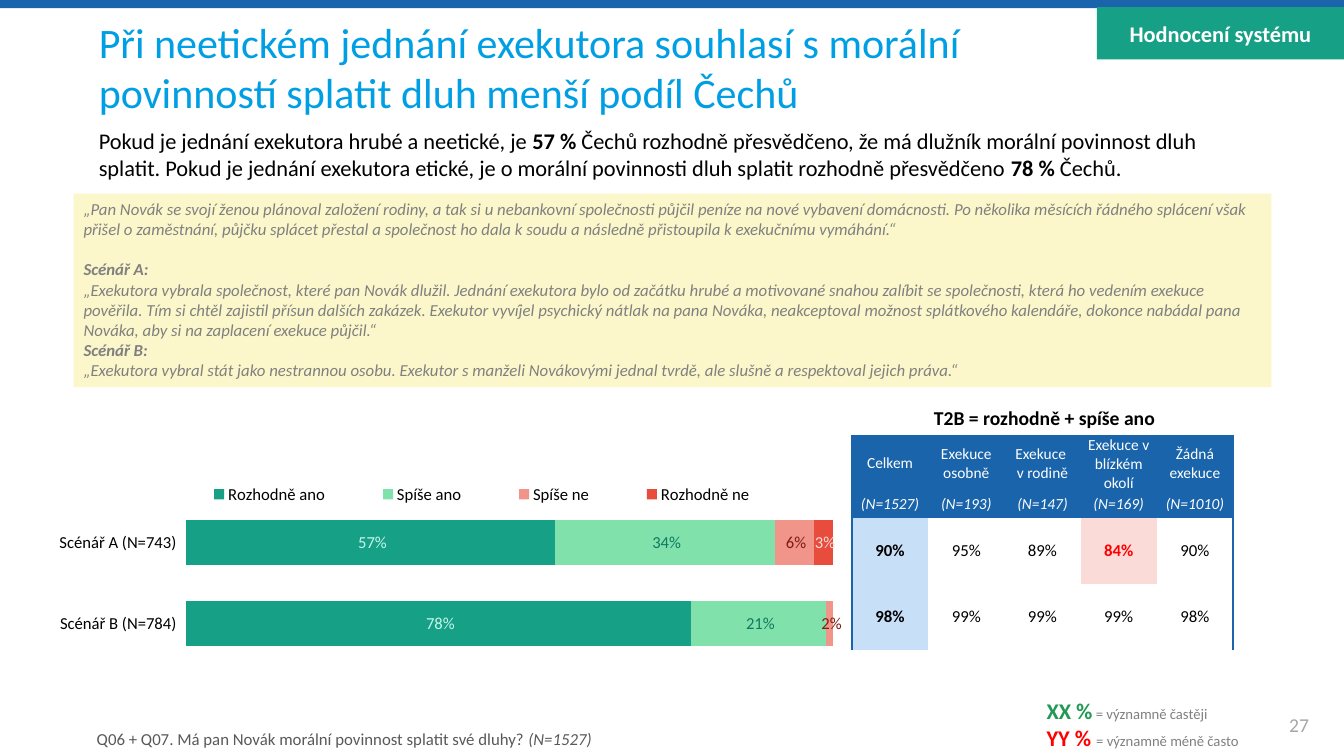
from lxml.etree import SubElement
from pptx import Presentation
from pptx.chart.data import CategoryChartData
from pptx.dml.color import RGBColor
from pptx.enum.chart import XL_CHART_TYPE, XL_LABEL_POSITION, XL_LEGEND_POSITION
from pptx.enum.shapes import MSO_SHAPE
from pptx.enum.text import MSO_ANCHOR, PP_ALIGN
from pptx.oxml import parse_xml
from pptx.oxml.ns import nsdecls, qn
from pptx.util import Inches, Pt

FONT = "Calibri"
BLUE = RGBColor(0x19, 0x64, 0xAA)
TITLE_BLUE = RGBColor(0x00, 0x9F, 0xE3)
PALE_BLUE = RGBColor(0xC8, 0xE0, 0xF7)
TEAL = RGBColor(0x16, 0xA0, 0x85)
DARK_TEAL = RGBColor(0x10, 0x78, 0x64)
PALE_TEAL = RGBColor(0xC5, 0xF7, 0xED)
MINT = RGBColor(0x80, 0xE2, 0xAA)
GREEN = RGBColor(0x22, 0x99, 0x55)
SALMON = RGBColor(0xF1, 0x94, 0x8A)
CORAL = RGBColor(0xE7, 0x4C, 0x3C)
MAROON = RGBColor(0x82, 0x1B, 0x10)
PINK = RGBColor(0xFA, 0xDB, 0xD8)
RED = RGBColor(0xFF, 0x00, 0x00)
CREAM = RGBColor(0xFB, 0xF7, 0xCA)
BLACK = RGBColor(0x00, 0x00, 0x00)
DARK_GREY = RGBColor(0x59, 0x59, 0x59)
GREY = RGBColor(0x80, 0x80, 0x80)
LIGHT_GREY = RGBColor(0xA6, 0xA6, 0xA6)
WHITE = RGBColor(0xFF, 0xFF, 0xFF)

PADDING = (0.1, 0.05, 0.1, 0.05)
SCENARIOS = ["Scénář A (N=743)", "Scénář B (N=784)"]
ANSWERS = [
    ("Rozhodně ano", (0.57, 0.78), TEAL, PALE_TEAL),
    ("Spíše ano", (0.34, 0.21), MINT, DARK_TEAL),
    ("Spíše ne", (0.06, 0.02), SALMON, MAROON),
    ("Rozhodně ne", (0.03, 0), CORAL, PINK),
]
GROUPS = [
    ("Celkem", "(N=1527)", "90%", "98%"),
    ("Exekuce osobně", "(N=193)", "95%", "99%"),
    ("Exekuce \vv rodině", "(N=147)", "89%", "99%"),
    ("Exekuce v blízkém okolí", "(N=169)", "84%", "99%"),
    ("Žádná exekuce", "(N=1010)", "90%", "98%"),
]
ROW_HEIGHTS = (0.52, 0.27, 0.65, 0.66)
STORY = [
    "„Pan Novák se svojí ženou plánoval založení rodiny, a tak si u nebankovní společnosti půjčil "
    "peníze na nové vybavení domácnosti. Po několika měsících řádného splácení však přišel o "
    "zaměstnání, půjčku splácet přestal a společnost ho dala k soudu a následně přistoupila k "
    "exekučnímu vymáhání.“",
    [("Scénář A:", {"bold": True})],
    "„Exekutora vybrala společnost, které pan Novák dlužil. Jednání exekutora bylo od začátku hrubé "
    "a motivované snahou zalíbit se společnosti, která ho vedením exekuce pověřila. Tím si chtěl "
    "zajistil přísun dalších zakázek. Exekutor vyvíjel psychický nátlak na pana Nováka, neakceptoval "
    "možnost splátkového kalendáře, dokonce nabádal pana Nováka, aby si na zaplacení exekuce půjčil.“",
    [("Scénář B:", {"bold": True})],
    "„Exekutora vybral stát jako nestrannou osobu. Exekutor s manželi Novákovými jednal tvrdě, ale "
    "slušně a respektoval jejich práva.“",
]


def write(frame, paragraphs, align=PP_ALIGN.LEFT, **base):
    for index, content in enumerate(paragraphs):
        paragraph = frame.paragraphs[0] if index == 0 else frame.add_paragraph()
        paragraph.alignment = align
        runs = [(content, {})] if isinstance(content, str) else content
        for text, changes in runs:
            style = {"size": 12, "color": BLACK, "bold": False, "italic": False, **base, **changes}
            for part, line in enumerate(text.split("\v")):
                if part:
                    paragraph.add_line_break()
                run = paragraph.add_run()
                run.text = line
                set_font(run.font, **style)


def set_font(font, size, color, bold=False, italic=False):
    font.name, font.size, font.bold, font.italic = FONT, Pt(size), bold, italic
    font.color.rgb = color


def set_frame(frame, anchor, insets):
    frame.word_wrap = True
    frame.vertical_anchor = anchor
    frame.margin_left, frame.margin_top, frame.margin_right, frame.margin_bottom = map(Inches, insets)


def add_text(slide, box, paragraphs, anchor=MSO_ANCHOR.TOP, insets=PADDING, **style):
    frame = slide.shapes.add_textbox(*map(Inches, box)).text_frame
    set_frame(frame, anchor, insets)
    write(frame, paragraphs, **style)


def add_panel(slide, box, fill, paragraphs=(), anchor=MSO_ANCHOR.MIDDLE, **style):
    panel = slide.shapes.add_shape(MSO_SHAPE.RECTANGLE, *map(Inches, box))
    panel.shadow.inherit = False
    panel.fill.solid()
    panel.fill.fore_color.rgb = fill
    panel.line.fill.background()
    set_frame(panel.text_frame, anchor, PADDING)
    write(panel.text_frame, paragraphs, **style)
    return panel


def layout_xml(x, y, w, h, target=""):
    return parse_xml(
        f'<c:layout {nsdecls("c")}><c:manualLayout>{target}'
        '<c:xMode val="edge"/><c:yMode val="edge"/>'
        f'<c:x val="{x}"/><c:y val="{y}"/><c:w val="{w}"/><c:h val="{h}"/>'
        '</c:manualLayout></c:layout>'
    )


def add_answer_chart(slide, box):
    data = CategoryChartData(number_format="0%")
    data.categories = SCENARIOS
    for name, shares, _, _ in ANSWERS:
        data.add_series(name, shares)
    chart = slide.shapes.add_chart(XL_CHART_TYPE.BAR_STACKED, *map(Inches, box), data).chart
    set_font(chart.font, 10.5, BLACK)
    chart.has_title = False
    chart.has_legend = True
    chart.legend.position = XL_LEGEND_POSITION.TOP
    chart.legend.include_in_layout = False
    set_font(chart.legend.font, 12, BLACK)
    chart.legend._element.find(qn("c:legendPos")).addnext(layout_xml(0.18, 0.03, 0.78, 0.12))

    plot_area = chart._chartSpace.chart.plotArea
    for layout in plot_area.findall(qn("c:layout")):
        plot_area.remove(layout)
    plot_area.insert(0, layout_xml(0.21, 0.13, 0.788, 0.834, '<c:layoutTarget val="inner"/>'))

    scenario_axis, share_axis = chart.category_axis, chart.value_axis
    scenario_axis.reverse_order = True
    scenario_axis.format.line.fill.background()
    set_font(scenario_axis.tick_labels.font, 12, BLACK)
    share_axis.minimum_scale, share_axis.maximum_scale = 0, 1
    share_axis.has_major_gridlines = False
    share_axis.visible = False

    plot = chart.plots[0]
    plot.gap_width, plot.overlap, plot.vary_by_categories = 80, 100, False
    for series, (_, _, fill, label_color) in zip(plot.series, ANSWERS):
        series.format.fill.solid()
        series.format.fill.fore_color.rgb = fill
        labels = series.data_labels
        labels.show_value = True
        labels.number_format = "[>0.015]\\ 0%;;"
        labels.number_format_is_linked = False
        labels.position = XL_LABEL_POSITION.CENTER
        set_font(labels.font, 12, label_color)


def set_borders(cell, edges):
    properties = cell._tc.get_or_add_tcPr()
    for index, edge in enumerate("LRTB"):
        line = properties.makeelement(qn(f"a:ln{edge}"), {"w": str(Pt(1))})
        properties.insert(index, line)
        if edge in edges:
            SubElement(SubElement(line, qn("a:solidFill")), qn("a:srgbClr"), val=str(BLUE))
        else:
            SubElement(line, qn("a:noFill"))


def add_group_table(slide, box):
    table = slide.shapes.add_table(len(ROW_HEIGHTS), len(GROUPS), *map(Inches, box)).table
    table.first_row = table.horz_banding = False
    for row, height in zip(table.rows, ROW_HEIGHTS):
        row.height = Inches(height)
    for column, group in enumerate(GROUPS):
        for row, text in enumerate(group):
            cell = table.cell(row, column)
            header, total, low = row < 2, column == 0, text == "84%"
            cell.margin_left = cell.margin_right = cell.margin_top = cell.margin_bottom = 0
            cell.vertical_anchor = MSO_ANCHOR.MIDDLE
            fill = BLUE if header else PALE_BLUE if total else PINK if low else None
            if fill is None:
                cell.fill.background()
            else:
                cell.fill.solid()
                cell.fill.fore_color.rgb = fill
            edges = "L" * total + "R" * (column == len(GROUPS) - 1) + "T" * (row == 0)
            set_borders(cell, edges)
            write(cell.text_frame, [text], align=PP_ALIGN.CENTER, size=11 if header else 12,
                  color=WHITE if header else RED if low else BLACK,
                  bold=not header and (total or low), italic=row == 1)


def main():
    deck = Presentation()
    deck.slide_width, deck.slide_height = Inches(13.33), Inches(7.5)
    slide = deck.slides.add_slide(deck.slide_layouts[6])
    bold = {"bold": True}

    add_panel(slide, (0, 0, 13.33, 0.08), BLUE)
    add_text(slide, (12.44, 6.99, 0.89, 0.4), ["27"], MSO_ANCHOR.MIDDLE,
             align=PP_ALIGN.CENTER, size=14, color=LIGHT_GREY)
    add_text(slide, (0, 0.26, 13.33, 0.8),
             ["Při neetickém jednání exekutora souhlasí s morální \v"
              "povinností splatit dluh menší podíl Čechů"],
             MSO_ANCHOR.MIDDLE, (0.98, 0, 0, 0), size=30, color=TITLE_BLUE)
    add_text(slide, (0, 1.26, 13.33, 0.92), [[
        ("Pokud je jednání exekutora hrubé a neetické, je ", {}), ("57 %", bold),
        (" Čechů rozhodně přesvědčeno, že má dlužník morální povinnost dluh splatit. Pokud je jednání "
         "exekutora etické, je o morální povinnosti dluh splatit rozhodně přesvědčeno ", {}),
        ("78 %", bold), (" Čechů.", {})]], insets=(0.98, 0, 0.98, 0), size=16)
    add_answer_chart(slide, (0.14, 4.73, 8.21, 1.93))
    add_text(slide, (0.96, 7.17, 10.06, 0.32), [[
        ("Q06 + Q07. Má pan Novák morální povinnost splatit své dluhy? ", {}),
        ("(N=1527)", {"italic": True})]], MSO_ANCHOR.MIDDLE, (0, 0, 0, 0), color=DARK_GREY)
    story = add_panel(slide, (0.73, 1.92, 11.88, 1.92), CREAM, STORY, MSO_ANCHOR.TOP,
                      color=GREY, italic=True)
    story.text_frame.paragraphs[1].space_before = Pt(14.5)
    add_group_table(slide, (8.45, 4.32, 3.78, 2.1))
    add_text(slide, (8.84, 3.98, 3.04, 0.34), ["T2B = rozhodně + spíše ano"],
             align=PP_ALIGN.CENTER, size=14, bold=True)
    add_text(slide, (10.34, 6.92, 2.05, 0.4), [
        [("XX %", {"size": 16, "color": GREEN, "bold": True}), (" = významně častěji", {})],
        [("YY % ", {"size": 16, "color": RED, "bold": True}), ("= významně méně často", {})],
    ], insets=(0.04, 0, 0.04, 0), size=10.5, color=GREY)
    add_panel(slide, (10.88, 0.07, 2.45, 0.52), TEAL, ["Hodnocení systému"],
              align=PP_ALIGN.CENTER, size=16, color=WHITE, bold=True)
    deck.save("out.pptx")


if __name__ == "__main__":
    main()
